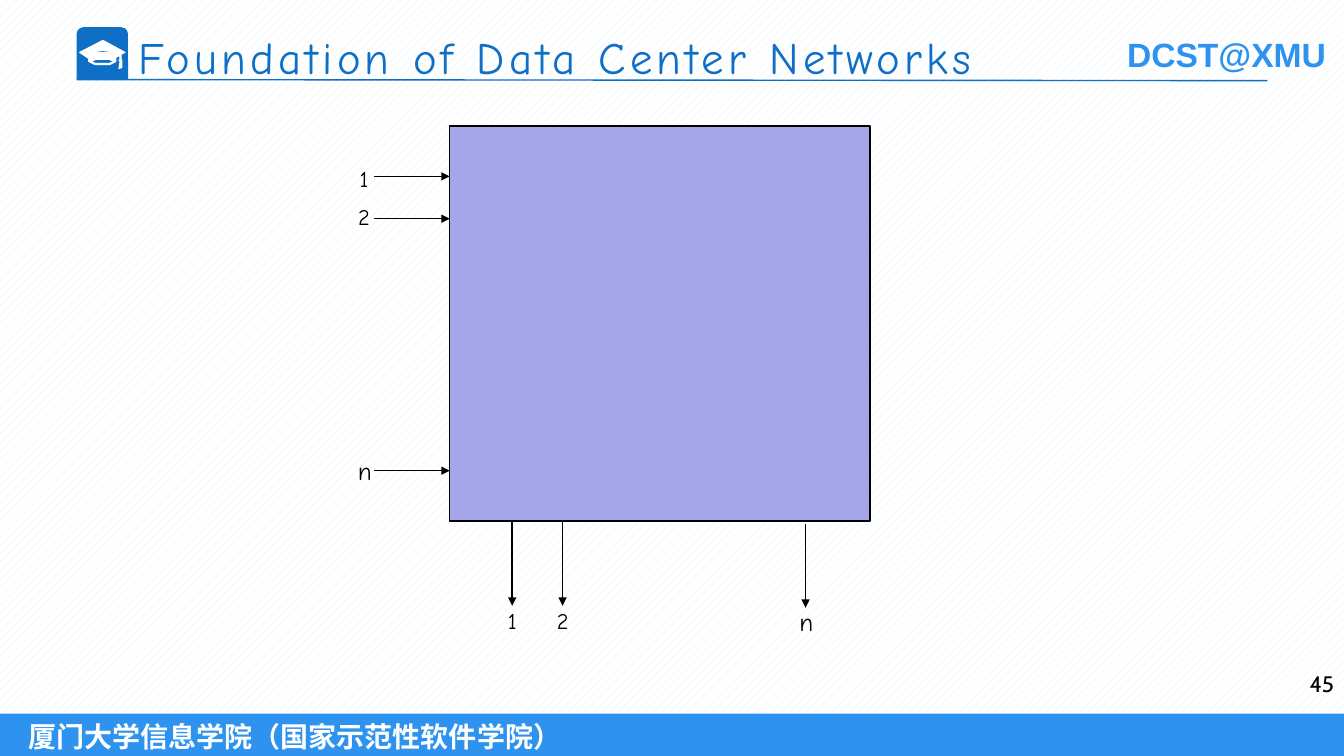
from lxml import etree
from pptx import Presentation
from pptx import util as u
from pptx.dml.color import RGBColor
from pptx.enum import dml, shapes, text
from pptx.oxml import ns

BLUE, SKY, WHITE, BLACK = "0F6FC6", "2D93EF", "FFFFFF", "000000"
HAND = "Comic Neue"
KIND = shapes.MSO_SHAPE
SIDE = text.PP_ALIGN


def px(n):
    """100 px to the inch."""
    return u.Emu(n * 9144)


def rgb(code):
    return RGBColor.from_string(code)


def paint(shape, fill, line=None, width=1):
    shape.shadow.inherit = False
    shape.fill.solid()
    shape.fill.fore_color.rgb = rgb(fill)
    if line:
        shape.line.color.rgb = rgb(line)
        shape.line.width = u.Pt(width)
    else:
        shape.line.fill.background()
    return shape


def block(slide, box, fill, line=None, kind=KIND.RECTANGLE):
    shape = slide.shapes.add_shape(kind, *map(px, box))
    return paint(shape, fill, line)


def fill_text(shape, words, font=HAND, size=16, color=BLACK, bold=False,
              align=SIDE.LEFT, wrap=True, gap=0, left=10,
              anchor=text.MSO_ANCHOR.TOP):
    frame = shape.text_frame
    frame.word_wrap = wrap
    frame.vertical_anchor = anchor
    frame.margin_left = px(left)
    para = frame.paragraphs[0]
    para.alignment = align
    run = para.add_run()
    run.text = words
    run.font.name = font
    run.font.size = u.Pt(size)
    run.font.bold = bold
    run.font.color.rgb = rgb(color)
    if gap:
        run._r.get_or_add_rPr().set("spc", str(gap * 100))
    return run


def write(slide, box, words, **style):
    return fill_text(slide.shapes.add_textbox(*map(px, box)), words, **style)


def line(slide, start, end, color=BLACK, arrow=False):
    link = slide.shapes.add_connector(
        shapes.MSO_CONNECTOR.STRAIGHT, *map(px, start + end))
    link.line.color.rgb = rgb(color)
    link.line.width = u.Pt(1)
    if arrow:
        tail = etree.SubElement(link.line._get_or_add_ln(), ns.qn("a:tailEnd"))
        tail.set("type", "triangle")
    etree.SubElement(link._element.spPr, ns.qn("a:effectLst"))


def cap(slide):
    """Graduation cap: outline, rim, band and tassel."""
    loops = [
        [(120, 59), (120, 54), (124, 52), (102, 40), (79, 52), (88, 58),
         (88, 61), (94, 64), (102, 64), (109, 64), (115, 61), (115, 57),
         (119, 55), (119, 59), (118, 60), (120, 61), (121, 60)],
        [(90, 61), (95, 59), (102, 59), (108, 59), (114, 61), (108, 63),
         (102, 63), (95, 63)],
        [(115, 55), (111, 52), (102, 52), (93, 52), (88, 55), (88, 54),
         (93, 51), (102, 50), (111, 51), (115, 54)],
        [(119, 61), (118, 68), (121, 67), (121, 61)],
    ]
    pen = slide.shapes.build_freeform(*loops[0][0], scale=px(1))
    for loop in loops:
        pen.move_to(*loop[0])
        pen.add_line_segments(loop[1:], close=True)
    paint(pen.convert_to_shape(), WHITE, WHITE, 0.75)


def frame(slide):
    # Backdrop
    back = block(slide, (0, 0, 1333, 750), WHITE)
    back.fill.patterned()
    back.fill.pattern = dml.MSO_PATTERN.PERCENT_20
    back.fill.fore_color.rgb = rgb("DBEFF9")
    back.fill.back_color.rgb = rgb(WHITE)

    # Footer
    foot = block(slide, (0, 708, 1333, 44), SKY)
    fill_text(foot, "厦门大学信息学院（国家示范性软件学院）", font="Arial", size=20,
              color=WHITE, bold=True, left=28, anchor=text.MSO_ANCHOR.MIDDLE)

    # Header
    run = write(slide, (1108, 29, 220, 50), "DCST@XMU", font="Arial",
                size=24, bold=True, wrap=False)
    run.font.fill.gradient()
    run.font.fill.gradient_angle = 270
    for stop, color in zip(run.font.fill.gradient_stops, (SKY, BLUE)):
        stop.color.rgb = rgb(color)
    badge = block(slide, (76, 27, 51, 52), BLUE,
                  kind=KIND.ROUND_2_SAME_RECTANGLE)
    badge.adjustments[0] = 0.13
    cap(slide)
    line(slide, (76, 79), (1257, 80), BLUE)
    write(slide, (128, 25, 1100, 100), "Foundation of Data Center Networks",
          size=32, color=BLUE, gap=3)
    write(slide, (1256, 660, 77, 50), "45", font="Cabin", align=SIDE.RIGHT)


def label(slide, x, y, words):
    size = 18 if words == "n" else 16
    write(slide, (x, y, 32, 38), words, size=size, align=SIDE.CENTER,
          wrap=False)


def switch(slide):
    block(slide, (446, 125, 417, 392), "A5A5E9", BLACK)

    # Inputs
    for words, y, top in (("1", 175, 159), ("2", 217, 197), ("n", 467, 447)):
        line(slide, (371, y), (446, y), arrow=True)
        label(slide, 345, top, words)

    # Outputs
    for words, x, y in (("1", 508, 518), ("2", 558, 518), ("n", 799, 520)):
        line(slide, (x, y), (x, y + 83), arrow=True)
        label(slide, x - 16, 597, words)


def main():
    deck = Presentation()
    deck.slide_width, deck.slide_height = px(1333), px(750)
    slide = deck.slides.add_slide(deck.slide_layouts[6])
    frame(slide)
    switch(slide)
    deck.save("out.pptx")


if __name__ == "__main__":
    main()
